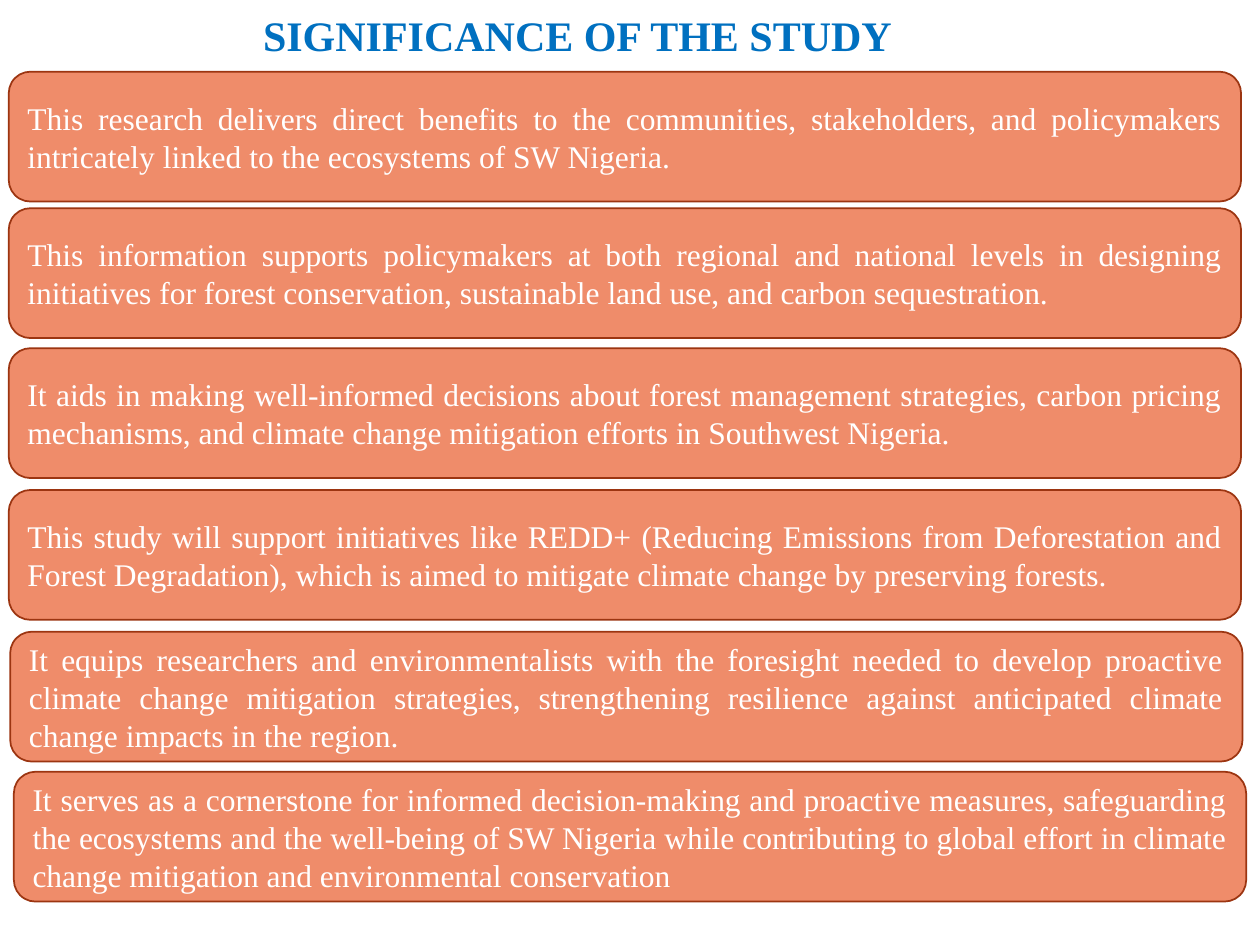
from typing import NamedTuple

from pptx import Presentation
from pptx.dml.color import RGBColor
from pptx.enum import shapes, text
from pptx.util import Pt

FONT = "Times New Roman"
CARD_W, CARD_H = 704.2, 74.2


class Card(NamedTuple):
    left: float
    top: float
    words: str


CARDS = [
    Card(5, 41, "This research delivers direct benefits to the communities, stakeholders, "
         "and policymakers intricately linked to the ecosystems of SW Nigeria."),
    Card(5, 119, "This information supports policymakers at both regional and national levels "
         "in designing initiatives for forest conservation, sustainable land use, "
         "and carbon sequestration."),
    Card(5, 199, "It aids in making well-informed decisions about forest management strategies, "
         "carbon pricing mechanisms, and climate change mitigation efforts "
         "in Southwest Nigeria."),
    Card(5, 280, "This study will support initiatives like REDD+ (Reducing Emissions from "
         "Deforestation and Forest Degradation), which is aimed to mitigate climate change "
         "by preserving forests."),
    Card(5.8, 361, "It equips researchers and environmentalists with the foresight needed "
         "to develop proactive climate change mitigation strategies, strengthening resilience "
         "against anticipated climate change impacts in the region."),
    Card(7.9, 441, "It serves as a cornerstone for informed decision-making and proactive "
         "measures, safeguarding the ecosystems and the well-being of SW Nigeria while "
         "contributing to global effort in climate change mitigation and environmental "
         "conservation"),
]


def rgb(code: str) -> RGBColor:
    return RGBColor.from_string(code)


def write(sp, words: str, *, size: float, color: str, align, bold: bool = False,
          spacing: float = 1.0) -> None:
    """Fill a shape with one vertically centred paragraph."""
    tf = sp.text_frame
    tf.word_wrap = True
    tf.vertical_anchor = text.MSO_ANCHOR.MIDDLE
    p = tf.paragraphs[0]
    p.alignment = align
    p.line_spacing = spacing
    r = p.add_run()
    r.text = words
    r.font.name = FONT
    r.font.size = Pt(size)
    r.font.bold = bold
    r.font.color.rgb = rgb(color)


def add_title(s, words: str) -> None:
    sp = s.shapes.add_textbox(Pt(90), Pt(-4.3), Pt(480), Pt(51.8))
    write(sp, words, size=24, color="0070C0", align=text.PP_ALIGN.CENTER,
          bold=True, spacing=0.9)


def add_card(s, card: Card) -> None:
    sp = s.shapes.add_shape(shapes.MSO_SHAPE.ROUNDED_RECTANGLE, Pt(card.left), Pt(card.top),
                            Pt(CARD_W), Pt(CARD_H))
    sp.shadow.inherit = False
    sp.fill.solid()
    sp.fill.fore_color.rgb = rgb("EF8C6A")
    sp.line.color.rgb = rgb("9C3511")
    sp.line.width = Pt(1)
    write(sp, card.words, size=18, color="FFFFFF", align=text.PP_ALIGN.JUSTIFY)


def main() -> None:
    prs = Presentation()
    prs.slide_width, prs.slide_height = Pt(720), Pt(540)
    s = prs.slides.add_slide(prs.slide_layouts[6])
    add_title(s, "SIGNIFICANCE OF THE STUDY")
    for card in CARDS:
        add_card(s, card)
    prs.save("out.pptx")


if __name__ == "__main__":
    main()
